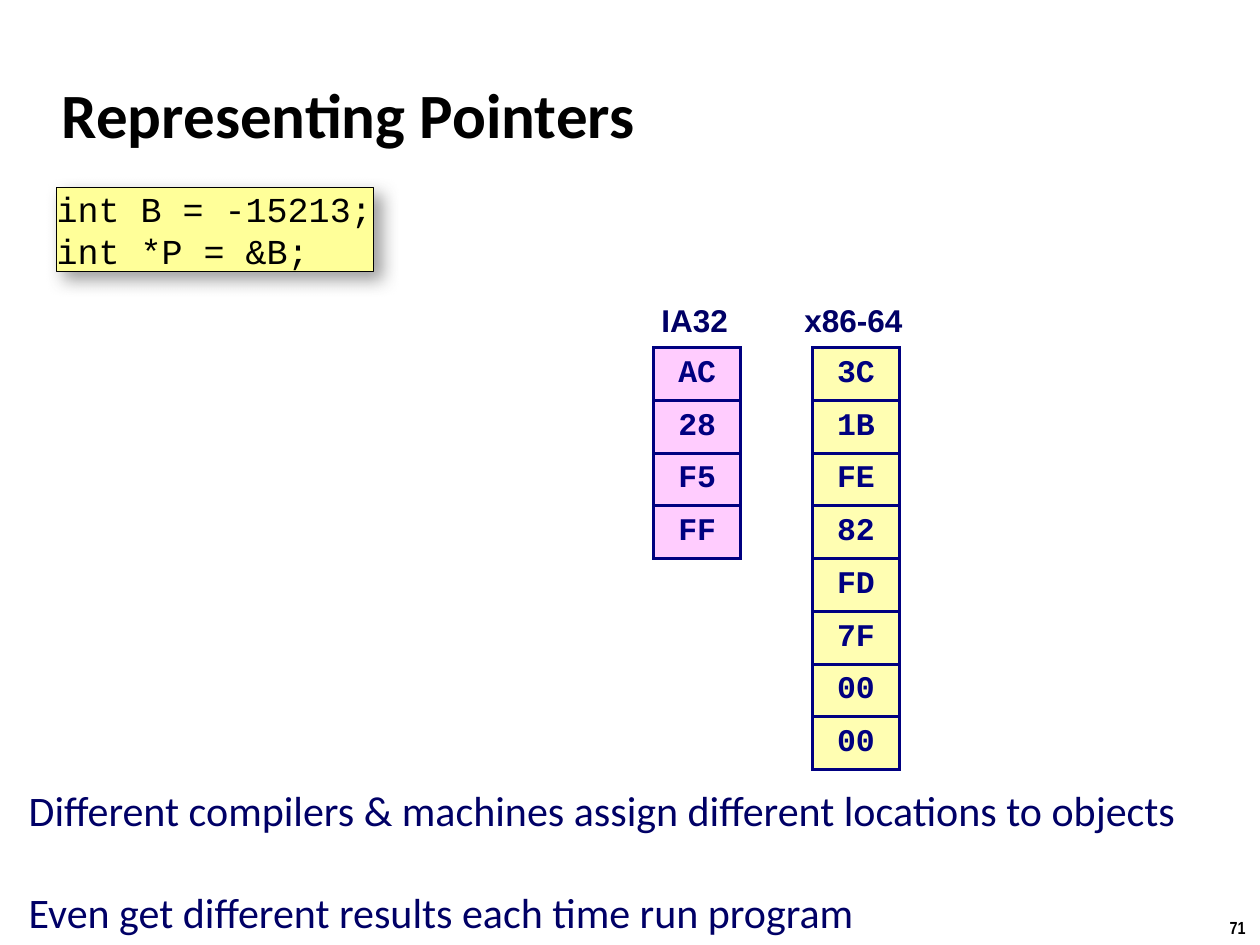
from lxml import etree
from pptx import Presentation
from pptx.dml.color import RGBColor
from pptx.enum.shapes import MSO_SHAPE
from pptx.enum.text import MSO_ANCHOR, PP_ALIGN
from pptx.oxml import parse_xml
from pptx.oxml.ns import nsdecls
from pptx.util import Cm, Pt

RECT = MSO_SHAPE.RECTANGLE
MIDDLE, TOP = MSO_ANCHOR.MIDDLE, MSO_ANCHOR.TOP
LEFT, CENTER = PP_ALIGN.LEFT, PP_ALIGN.CENTER
NAVY, DEEP, BLACK = "000080", "000066", "000000"
LABEL_INSETS = (0.15, 0.15, 0.25, 0.15)


def rgb(color):
    return RGBColor.from_string(color)


def write(tf, *lines, size, font, color, bold=False, align=LEFT, gap=0,
          insets=None, anchor=TOP, wrap=True):
    tf.word_wrap = wrap
    tf.vertical_anchor = anchor
    if insets:
        (tf.margin_left, tf.margin_top,
         tf.margin_right, tf.margin_bottom) = map(Cm, insets)
    for i, line in enumerate(lines):
        p = tf.add_paragraph() if i else tf.paragraphs[0]
        p.alignment = align
        p.space_before = Pt(gap if i else 0)
        r = p.add_run()
        r.text = line
        r.font.size, r.font.name, r.font.bold = Pt(size), font, bold
        r.font.color.rgb = rgb(color)


def add_text(s, box, *lines, **fmt):
    sp = s.shapes.add_textbox(*map(Cm, box))
    write(sp.text_frame, *lines, **fmt)


def add_title(s, box, text):
    sp = s.shapes.title
    sp.left, sp.top, sp.width, sp.height = map(Cm, box)
    write(sp.text_frame, text, size=36, font="Calibri", color=BLACK,
          bold=True, anchor=MIDDLE)


def add_code(s, box, *lines):
    sp = s.shapes.add_shape(RECT, *map(Cm, box))
    sp.fill.solid()
    sp.fill.fore_color.rgb = rgb("FFFF99")
    sp.line.color.rgb = rgb(BLACK)
    sp.line.width = Pt(0.5)
    sp.shadow.inherit = False
    effects = sp.element.spPr.find("{*}effectLst")
    effects.append(parse_xml(
        f'<a:outerShdw {nsdecls("a")} blurRad="{Pt(10)}" dist="{Pt(6)}" '
        'dir="2700000" algn="tl" rotWithShape="0"><a:srgbClr val="808080">'
        '<a:alpha val="75000"/></a:srgbClr></a:outerShdw>'))
    write(sp.text_frame, *lines, size=20, font="Courier New", color=BLACK,
          insets=(0, 0, 0, 0), wrap=False)


def set_borders(cell, color, width):
    tcPr = cell._tc.get_or_add_tcPr()
    for i, side in enumerate(("lnL", "lnR", "lnT", "lnB")):
        tcPr.insert(i, etree.fromstring(
            f'<a:{side} {nsdecls("a")} w="{Pt(width)}"><a:solidFill>'
            f'<a:srgbClr val="{color}"/></a:solidFill></a:{side}>'))


def add_bytes(s, box, label, label_width, values, fill):
    x, y, w, row = box
    head = 1.09
    add_text(s, (x + (w - label_width) / 2, y, label_width, head), label,
             size=18, font="Arial", color=DEEP, bold=True, align=CENTER,
             insets=LABEL_INSETS, wrap=False)
    table = s.shapes.add_table(len(values), 1, Cm(x), Cm(y + head), Cm(w),
                               Cm(row * len(values))).table
    table.first_row = table.horz_banding = False
    for i, value in enumerate(values):
        table.rows[i].height = Cm(row)
        cell = table.cell(i, 0)
        cell.fill.solid()
        cell.fill.fore_color.rgb = rgb(fill)
        cell.vertical_anchor = MIDDLE
        cell.margin_left = cell.margin_right = Cm(0.15)
        cell.margin_top = cell.margin_bottom = Cm(0.15)
        write(cell.text_frame, value, size=18, font="Courier New",
              color=NAVY, bold=True, align=CENTER)
        set_borders(cell, NAVY, 2)


def main():
    prs = Presentation()
    prs.slide_width, prs.slide_height = Cm(25.4), Cm(19.05)
    s = prs.slides.add_slide(prs.slide_layouts[5])
    add_title(s, (0.99, 1.22, 21.08, 2.11), "Representing Pointers")
    add_code(s, (1.14, 3.78, 6.4, 1.7), "int B = -15213;", "int *P = &B;")
    add_bytes(s, (13.18, 5.92, 1.75, 1.06), "IA32", 1.78,
              "AC 28 F5 FF".split(), "FFCCFE")
    add_bytes(s, (16.38, 5.92, 1.75, 1.06), "x86-64", 2.41,
              "3C 1B FE 82 FD 7F 00 00".split(), "FFFEB2")
    add_text(s, (0.43, 15.67, 24.56, 1.88),
             "Different compilers & machines assign different locations to objects",
             "Even get different results each time run program",
             size=24, font="Calibri", color=DEEP, gap=29.3,
             insets=LABEL_INSETS)
    add_text(s, (24.54, 18.36, 0.86, 0.69), "71", size=10,
             font="Arial Narrow", color=BLACK, bold=True, wrap=False)
    prs.save("out.pptx")


if __name__ == "__main__":
    main()
